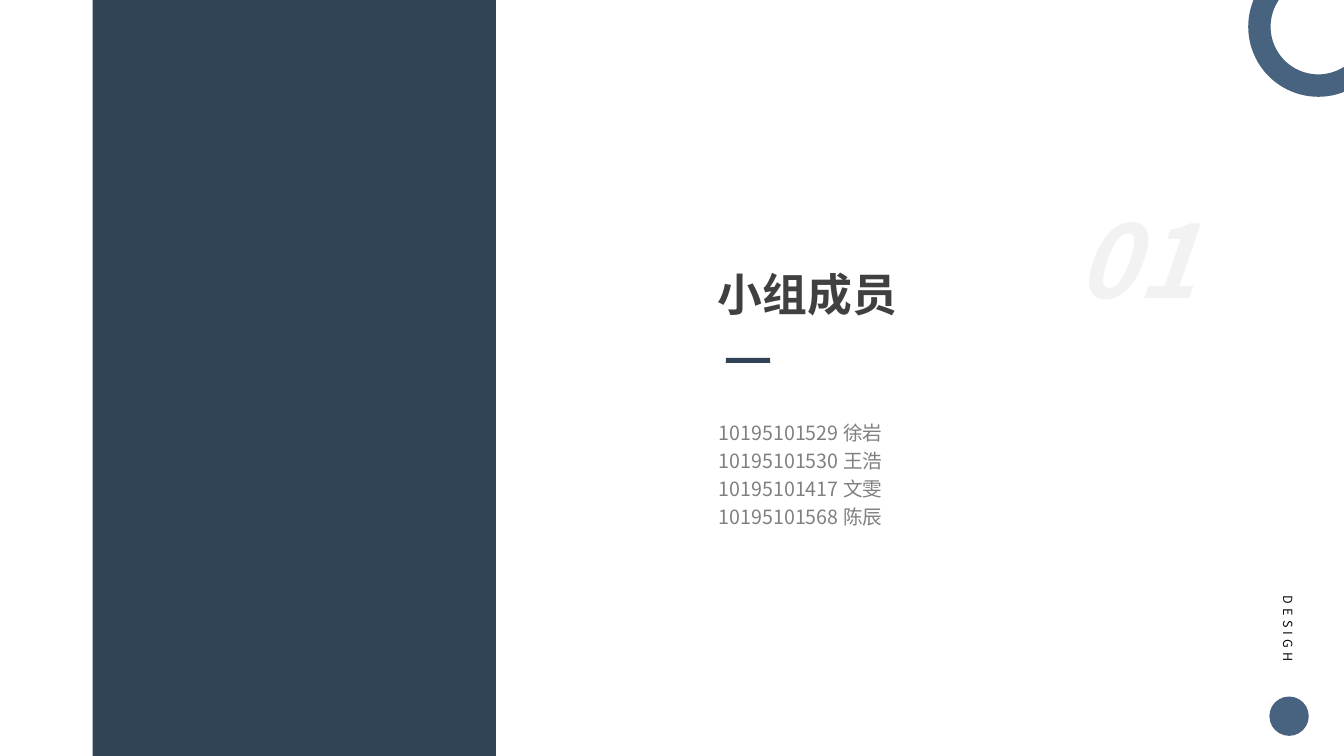
from pptx import Presentation
from pptx.dml.color import RGBColor
from pptx.enum.shapes import MSO_SHAPE
from pptx.enum.text import PP_ALIGN
from pptx.oxml.ns import qn
from pptx.util import Inches, Pt
from lxml.etree import SubElement

NAVY = RGBColor(0x31, 0x44, 0x57)
STEEL = RGBColor(0x48, 0x63, 0x7F)
PALE = RGBColor(0xF2, 0xF2, 0xF2)
BLACK = RGBColor(0x0D, 0x0D, 0x0D)
DARK = RGBColor(0x40, 0x40, 0x40)
GREY = RGBColor(0x80, 0x80, 0x80)

MEMBERS = [
    ("10195101529", "徐岩"),
    ("10195101530", "王浩"),
    ("10195101417", "文雯"),
    ("10195101568", "陈辰"),
]


class SlideBuilder:
    """Holds the typeface and the slide being built."""

    font = "Noto Sans CJK SC"

    def __init__(self, page):
        """Keep the slide to draw on."""
        self.page = page

    def shape(self, kind, place, color):
        """Add a plain filled preset shape."""
        shape = self.page.shapes.add_shape(kind, *map(Inches, place))
        shape.shadow.inherit = False
        shape.fill.solid()
        shape.fill.fore_color.rgb = color
        shape.line.fill.background()
        return shape

    def text(self, place, lines, size, color, inset=0.0, leading=None,
             bold=False, italic=False, spacing=None, align=PP_ALIGN.LEFT):
        """Add a text box with one paragraph for each line."""
        box = self.page.shapes.add_textbox(*map(Inches, place))
        frame = box.text_frame
        frame.word_wrap = True
        frame.margin_top = frame.margin_bottom = Inches(inset)
        for index, line in enumerate(lines):
            para = frame.add_paragraph() if index else frame.paragraphs[0]
            para.alignment = align
            if leading:
                para.line_spacing = Pt(leading)
            span = para.add_run()
            span.text = line
            font = span.font
            font.name, font.size = self.font, Pt(size)
            font.bold, font.italic = bold, italic
            font.color.rgb = color
            properties = span._r.get_or_add_rPr()
            SubElement(properties, qn("a:ea")).set("typeface", self.font)
            if spacing:
                properties.set("spc", str(spacing * 100))
        return box


deck = Presentation()
deck.slide_width, deck.slide_height = Inches(13.33), Inches(7.5)
slide = SlideBuilder(deck.slides.add_slide(deck.slide_layouts[6]))

slide.shape(MSO_SHAPE.RECTANGLE, (0.92, 0, 4, 7.5), NAVY)
side_label = slide.text((12.33, 6.09, 0.9, 0.25), ["DESIGH"], 9, BLACK,
                        inset=0.05, spacing=3, align=PP_ALIGN.RIGHT)
side_label.rotation = 90
side_label.text_frame.word_wrap = False
slide.shape(MSO_SHAPE.OVAL, (12.59, 6.91, 0.39, 0.39), STEEL)
slide.shape(MSO_SHAPE.RECTANGLE, (7.2, 3.55, 0.44, 0.05), NAVY)
ring = slide.shape(MSO_SHAPE.DONUT, (12.38, -0.43, 1.39, 1.39), STEEL)
ring.adjustments[0] = 0.16

slide.text((10.58, 1.96, 1.6, 1.45), ["01"], 72, PALE, bold=True, italic=True)
slide.text((7.02, 2.65, 3.16, 0.54), ["小组成员"], 32, DARK, bold=True)
slide.text((7.03, 4.08, 4.08, 1.22), [" ".join(member) for member in MEMBERS],
           14, GREY, inset=0.05, leading=20)

deck.save("out.pptx")
